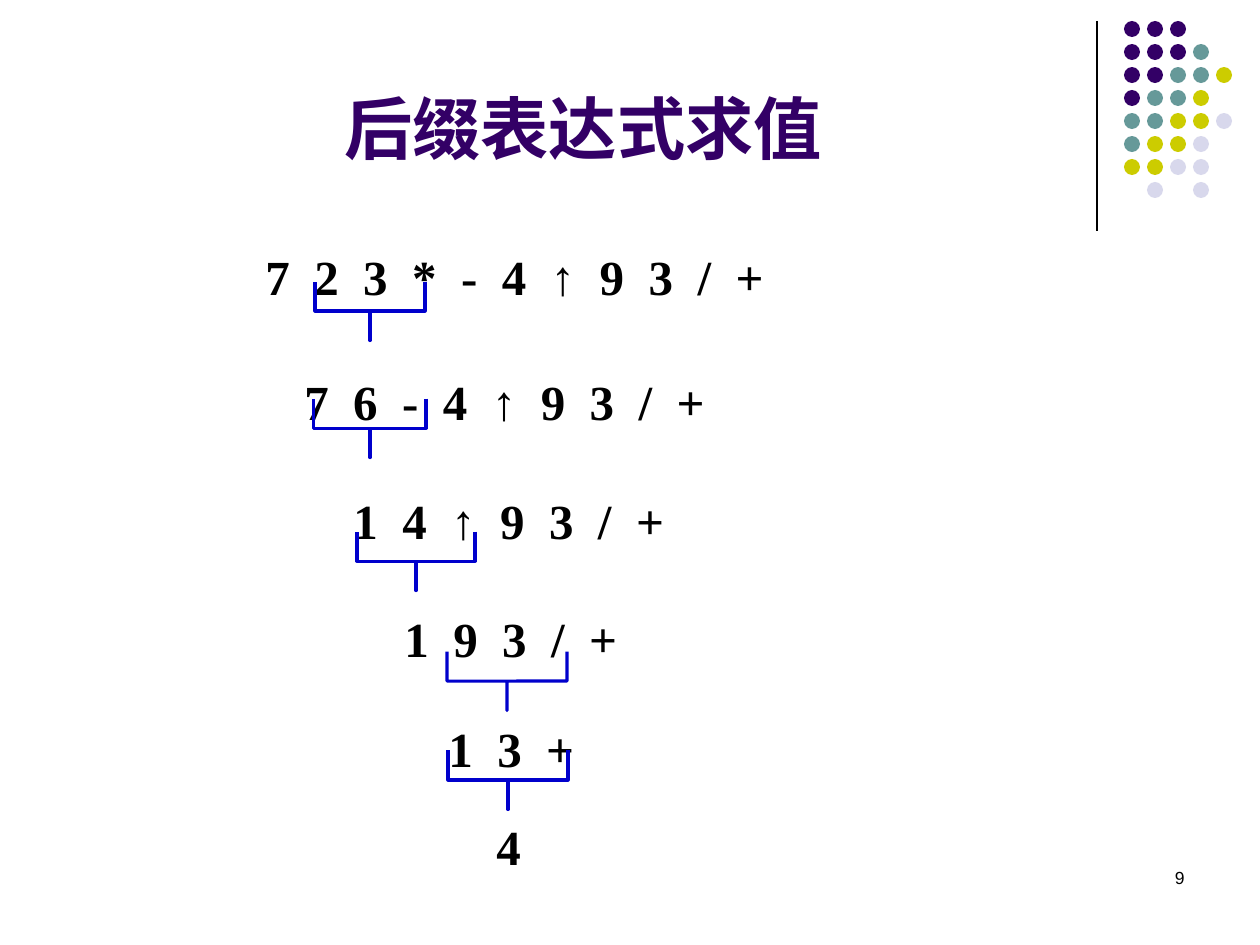
"""Build a slide that evaluates a postfix expression step by step."""
from lxml import etree
from pptx import Presentation
from pptx.dml.color import RGBColor
from pptx.enum.shapes import MSO_CONNECTOR, MSO_SHAPE
from pptx.enum.text import MSO_ANCHOR, PP_ALIGN
from pptx.oxml.ns import qn
from pptx.util import Pt

EMU_PER_PX = 914400 / 126
STRAIGHT = MSO_CONNECTOR.STRAIGHT
ELLIPSE, LEFT_BRACE = MSO_SHAPE.OVAL, MSO_SHAPE.LEFT_BRACE
BOTTOM, TOP = MSO_ANCHOR.BOTTOM, MSO_ANCHOR.TOP
CENTER, JUSTIFY, RIGHT = PP_ALIGN.CENTER, PP_ALIGN.JUSTIFY, PP_ALIGN.RIGHT

BLACK = RGBColor(0x00, 0x00, 0x00)
BLUE = RGBColor(0x00, 0x00, 0xCC)
PURPLE = RGBColor(0x33, 0x00, 0x66)
TEAL = RGBColor(0x66, 0x99, 0x99)
OLIVE = RGBColor(0xCC, 0xCC, 0x00)
LAVENDER = RGBColor(0xD8, 0xD8, 0xEC)

DOT_COLORS = {"P": PURPLE, "T": TEAL, "O": OLIVE, "L": LAVENDER}
DOT_ROWS = ("PPP", "PPPT", "PPTTO", "PTTO", "TTOOL", "TOOL", "OOLL", " L L")
DOT_LEFT, DOT_TOP, DOT_PITCH, DOT_SIZE = 1124, 21, 23, 16

STEPS = (
    ("7  2  3  *  -  4  ↑  9  3  /  +", 253, 229, 566),
    ("7  6  -  4  ↑  9  3  /  +", 292, 354, 476),
    ("1  4  ↑  9  3  /  +", 341, 473, 645),
    ("1  9  3  /  +", 392, 591, 309),
    ("1  3  +", 436, 701, 309),
    ("4", 484, 799, 90),
)
BRACES = ((370, 311, 110), (370, 428, 112), (416, 561, 118),
          (507, 681, 120), (508, 780, 120))


def px(*lengths):
    return [round(length * EMU_PER_PX) for length in lengths]


class SlideBuilder:
    """Holds the style and the current slide."""

    heading_font = "Arial"
    step_font = "Times New Roman"
    brace_depth = 59

    def __init__(self, deck):
        self.slide = deck.slides.add_slide(deck.slide_layouts[5])
        self.shapes = self.slide.shapes

    def fill_text(self, box, text, font, size, color, align, anchor=TOP, bold=False):
        frame = box.text_frame
        frame.word_wrap = True
        frame.vertical_anchor = anchor
        frame.text = text
        para = frame.paragraphs[0]
        para.alignment = align
        span = para.runs[0]
        span.font.name = font
        span.font.size = Pt(size)
        span.font.bold = bold
        span.font.color.rgb = color
        return para

    def title(self, text, left, top, width, height):
        box = self.shapes.title
        box.left, box.top, box.width, box.height = px(left, top, width, height)
        self.fill_text(box, text, self.heading_font, 39, PURPLE, CENTER, BOTTOM, True)

    def step(self, text, left, top, width):
        box = self.shapes.add_textbox(*px(left, top, width, 79))
        para = self.fill_text(box, text, self.step_font, 28, BLACK, JUSTIFY, bold=True)
        para.line_spacing = 1.2

    def page_number(self, text, left, top, width, height):
        box = self.shapes.add_textbox(*px(left, top, width, height))
        self.fill_text(box, text, self.heading_font, 10, BLACK, RIGHT)

    def brace(self, center_x, center_y, span):
        left = center_x - self.brace_depth / 2
        top = center_y - span / 2
        brace = self.shapes.add_shape(
            LEFT_BRACE, *px(left, top, self.brace_depth, span))
        brace.rotation = 270
        brace.adjustments[0] = 0
        brace.adjustments[1] = 0.5
        brace.shadow.inherit = False
        brace.fill.background()
        brace.line.color.rgb = BLUE
        brace.line.width = Pt(1.75)

    def dot(self, left, top, color):
        dot = self.shapes.add_shape(ELLIPSE, *px(left, top, DOT_SIZE, DOT_SIZE))
        dot.shadow.inherit = False
        dot.fill.solid()
        dot.fill.fore_color.rgb = color
        dot.line.fill.background()

    def dot_grid(self):
        for row, codes in enumerate(DOT_ROWS):
            for column, code in enumerate(codes):
                if code in DOT_COLORS:
                    self.dot(DOT_LEFT + column * DOT_PITCH,
                             DOT_TOP + row * DOT_PITCH, DOT_COLORS[code])

    def rule(self, x, top, bottom):
        rule = self.shapes.add_connector(STRAIGHT, *px(x, top, x, bottom))
        rule.line.color.rgb = BLACK
        rule.line.width = Pt(0.75)
        etree.SubElement(rule._element.spPr, qn("a:effectLst"))


def main():
    deck = Presentation()
    deck.slide_width, deck.slide_height = px(1260, 945)
    page = SlideBuilder(deck)
    page.rule(1097, 21, 231)
    page.dot_grid()
    page.title("后缀表达式求值", 63, 16, 1040, 158)
    for step in STEPS:
        page.step(*step)
    for brace in BRACES:
        page.brace(*brace)
    page.page_number("9", 903, 861, 294, 63)
    deck.save("out.pptx")


if __name__ == "__main__":
    main()
